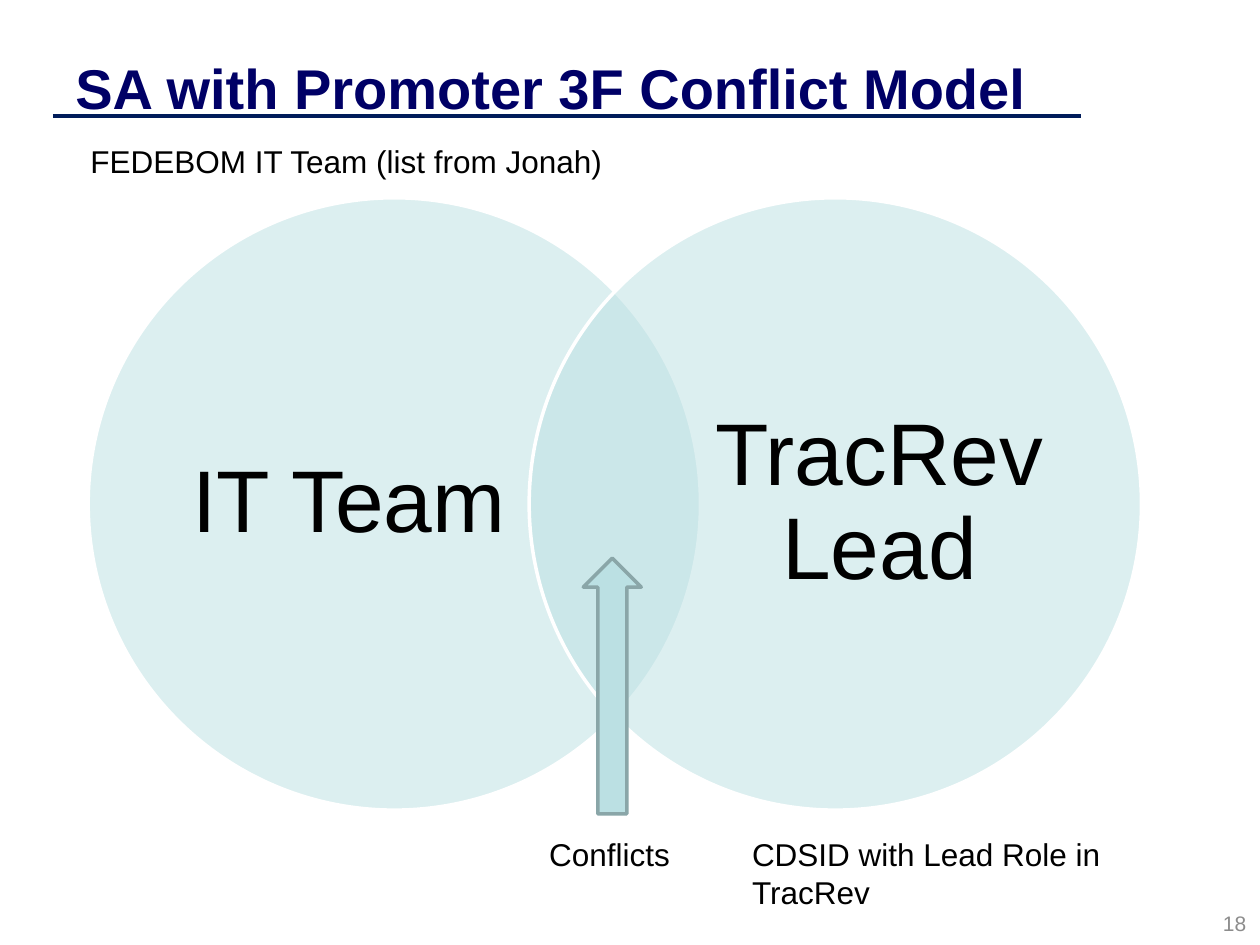
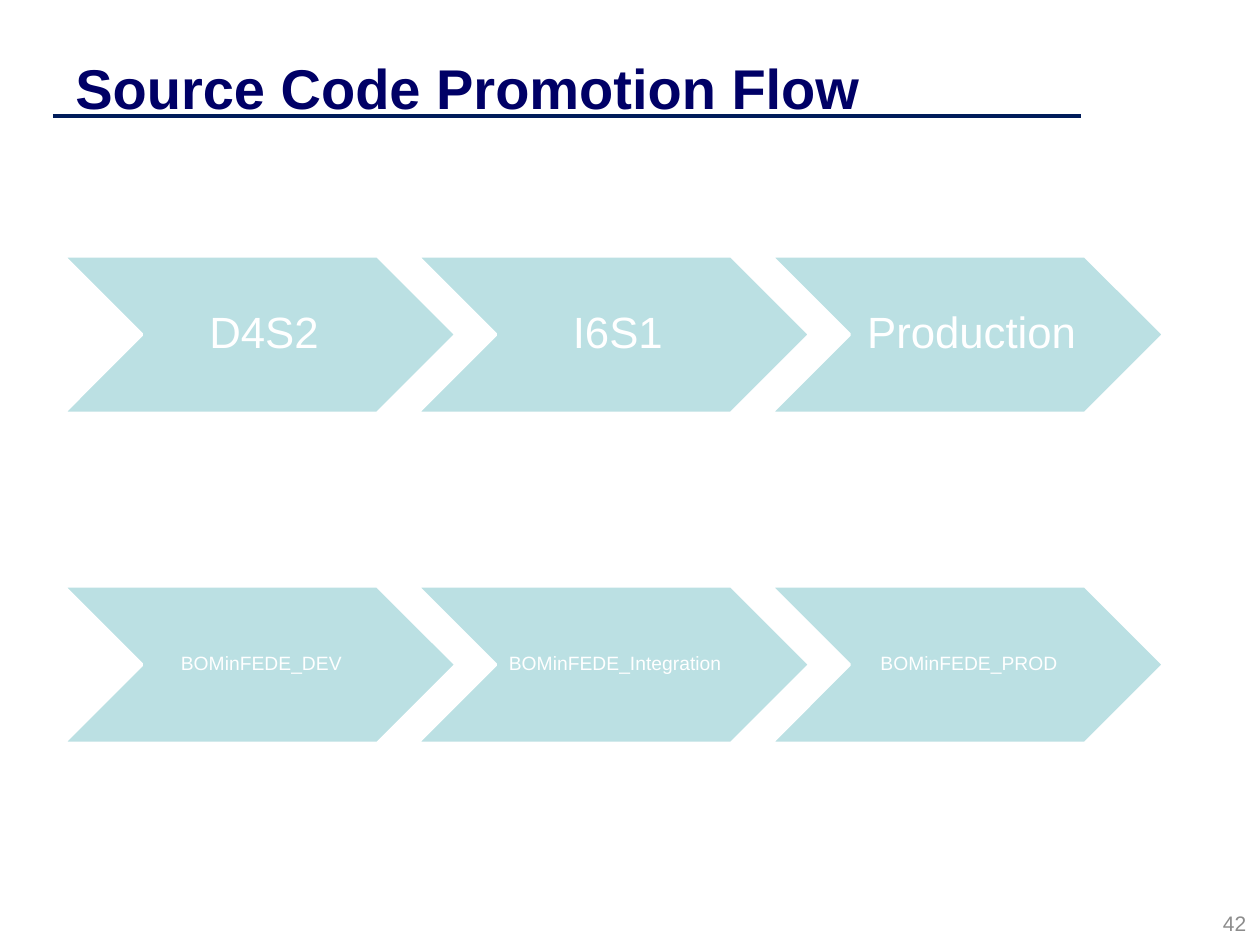
import pptx
import pptx.util
from lxml import etree
from pptx.dml.color import RGBColor
from pptx.enum.shapes import MSO_CONNECTOR, MSO_SHAPE
from pptx.enum.text import MSO_ANCHOR, PP_ALIGN
from pptx.oxml.ns import qn

NAVY = RGBColor(0x00, 0x00, 0x66)
RULE = RGBColor(0x00, 0x1C, 0x5A)
AQUA = RGBColor(0xBB, 0xE0, 0xE3)
AQUA_EDGE = RGBColor(0x8A, 0xA6, 0xA8)
GREY = RGBColor(0x8C, 0x8C, 0x8C)
BLACK = RGBColor(0x00, 0x00, 0x00)
WHITE = RGBColor(0xFF, 0xFF, 0xFF)
FONT = "Arial"
WIDTH, HEIGHT = 10, 7.5

CONFLICT_TITLE, CONFLICT_NUMBER = "SA with Promoter 3F Conflict Model", 18
# Text, circle left, label left
CIRCLES = [("IT Team", 0.7, 1.37), ("TracRev Lead", 4.2, 5.58)]
CIRCLE_TOP, CIRCLE_SIZE = 1.57, 4.86
LABEL_WIDTH, LABEL_HEIGHT = 2.8, 3.71
ARROW_AREA = (4.63, 4.43, 0.46, 2.03)
CAPTIONS = [
    ("Conflicts", (4.26, 6.58, 1.18, 0.4)),
    ("CDSID with Lead Role in TracRev", (5.87, 6.58, 3.59, 0.71)),
    ("FEDEBOM IT Team (list from Jonah)", (0.62, 1.08, 4.37, 0.4)),
]

FLOW_TITLE, FLOW_NUMBER = "Source Code Promotion Flow", 42
# Steps, text size, insets
FLOWS = [
    (["D4S2", "I6S1", "Production"], 25, (0.11, 0.04, 0.04, 0.04)),
    (["BOMinFEDE_DEV", "BOMinFEDE_Integration", "BOMinFEDE_PROD"],
     11, (0.05, 0.02, 0.02, 0.02)),
]
FLOW_LEFT, FLOW_TOP, ROW_PITCH = 0.5, 2.03, 2.62
STEP_WIDTH, STEP_HEIGHT = 3.12, 1.25
STEP_PITCH = 0.9 * STEP_WIDTH
NOTCH = STEP_HEIGHT / 2


def inches(lengths):
    return [pptx.util.Inches(length) for length in lengths]


def add_text(page, text, area, size=18, color=BLACK, bold=False,
             align=PP_ALIGN.LEFT, anchor=MSO_ANCHOR.TOP,
             insets=(0.1, 0.05, 0.1, 0.05), spacing=1.0):
    frame = page.shapes.add_textbox(*inches(area)).text_frame
    frame.word_wrap = True
    frame.vertical_anchor = anchor
    (frame.margin_left, frame.margin_top,
     frame.margin_right, frame.margin_bottom) = inches(insets)
    para = frame.paragraphs[0]
    para.alignment = align
    para.line_spacing = spacing
    span = para.add_run()
    span.text = text
    span.font.name = FONT
    span.font.size = pptx.util.Pt(size)
    span.font.bold = bold
    span.font.color.rgb = color


def add_label(page, text, area, size, color, insets):
    """Centred text laid over a diagram shape."""
    add_text(page, text, area, size=size, color=color, insets=insets,
             align=PP_ALIGN.CENTER, anchor=MSO_ANCHOR.MIDDLE, spacing=0.9)


def add_figure(page, kind, area, edge=WHITE, opacity=100):
    shape = page.shapes.add_shape(kind, *inches(area))
    shape.shadow.inherit = False
    shape.fill.solid()
    shape.fill.fore_color.rgb = AQUA
    shape.line.color.rgb = edge
    shape.line.width = pptx.util.Pt(2)
    if opacity < 100:
        color = shape.fill._xPr.find(qn("a:solidFill"))[0]
        etree.SubElement(color, qn("a:alpha")).set("val", str(opacity * 1000))


def add_page(deck, title, number):
    """Blank page with the shared rule, title and page number."""
    page = deck.slides.add_slide(deck.slide_layouts[6])
    rule = page.shapes.add_connector(
        MSO_CONNECTOR.STRAIGHT, *inches((0.42, 0.92, 8.58, 0.92)))
    rule.line.color.rgb = RULE
    rule.line.width = pptx.util.Pt(2)
    etree.SubElement(rule._element.spPr, qn("a:effectLst"))
    add_text(page, title, (0.5, 0.3, 8, 0.78), size=32, color=NAVY,
             bold=True, anchor=MSO_ANCHOR.MIDDLE)
    add_text(page, str(number), (7.66, 7.16, 2.33, 0.34), size=12, color=GREY,
             align=PP_ALIGN.RIGHT, anchor=MSO_ANCHOR.MIDDLE)
    return page


def add_conflict_page(deck):
    page = add_page(deck, CONFLICT_TITLE, CONFLICT_NUMBER)
    label_top = CIRCLE_TOP + (CIRCLE_SIZE - LABEL_HEIGHT) / 2
    for text, circle_left, label_left in CIRCLES:
        add_figure(page, MSO_SHAPE.OVAL,
                   (circle_left, CIRCLE_TOP, CIRCLE_SIZE, CIRCLE_SIZE), opacity=50)
        add_label(page, text, (label_left, label_top, LABEL_WIDTH, LABEL_HEIGHT),
                  50, BLACK, (0, 0, 0, 0))
    add_figure(page, MSO_SHAPE.UP_ARROW, ARROW_AREA, edge=AQUA_EDGE)
    for text, area in CAPTIONS:
        add_text(page, text, area)


def add_flow_page(deck):
    page = add_page(deck, FLOW_TITLE, FLOW_NUMBER)
    for row, (steps, size, insets) in enumerate(FLOWS):
        top = FLOW_TOP + row * ROW_PITCH
        for column, step in enumerate(steps):
            left = FLOW_LEFT + column * STEP_PITCH
            add_figure(page, MSO_SHAPE.CHEVRON,
                       (left, top, STEP_WIDTH, STEP_HEIGHT))
            add_label(page, step,
                      (left + NOTCH, top, STEP_WIDTH - 2 * NOTCH, STEP_HEIGHT),
                      size, WHITE, insets)


def main():
    deck = pptx.Presentation()
    deck.slide_width, deck.slide_height = inches((WIDTH, HEIGHT))
    add_conflict_page(deck)
    add_flow_page(deck)
    deck.save("out.pptx")


if __name__ == "__main__":
    main()
